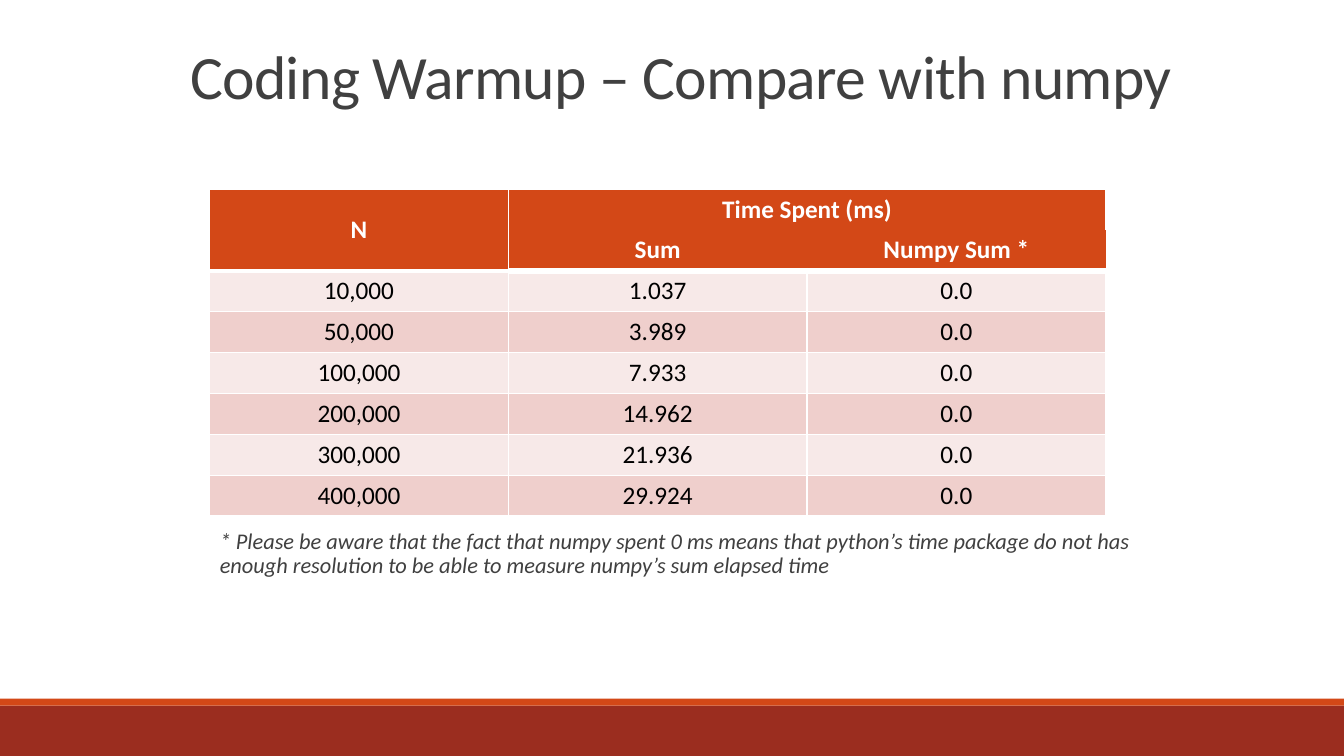
from dataclasses import dataclass

from lxml.etree import SubElement
from pptx import Presentation
from pptx.dml.color import RGBColor as Color
from pptx.enum.shapes import MSO_SHAPE as Shape
from pptx.enum.text import MSO_ANCHOR as Anchor, PP_ALIGN as Align
from pptx.oxml.ns import qn
from pptx.util import Inches, Pt


@dataclass(frozen=True)
class Theme:
    """Colours, font and type sizes of the deck."""
    font: str = "Calibri"
    ink: str = "404040"
    black: str = "000000"
    white: str = "FFFFFF"
    accent: str = "D34817"
    base: str = "9B2D1F"
    bands: tuple = ("F7E9E8", "EFCFCC")
    title_size: float = 44
    cell_size: float = 18
    note_size: float = 16


THEME = Theme()
WIDTH, HEIGHT = 13.33, 7.5
TITLE = "Coding Warmup – Compare with numpy"
NOTE = ("* Please be aware that the fact that numpy spent 0 ms means that python’s time package "
        "do not has enough resolution to be able to measure numpy’s sum elapsed time")
HEADER = (("N", "Time Spent (ms)", ""), ("", "Sum", "Numpy Sum *"))
TIMINGS = (
    ("10,000", "1.037", "0.0"),
    ("50,000", "3.989", "0.0"),
    ("100,000", "7.933", "0.0"),
    ("200,000", "14.962", "0.0"),
    ("300,000", "21.936", "0.0"),
    ("400,000", "29.924", "0.0"),
)
THIN = dict(L=1, R=1, T=1, B=1)
HEADER_EDGES = (
    (dict(THIN, B=3), dict(THIN, B=0), dict(THIN, L=0, B=0)),
    (dict(THIN, T=0, B=3), dict(L=1, R=0, T=0, B=4.5), dict(L=0, R=0, T=0, B=4.5)),
)


def add_span(para, text, size, color, bold=False, italic=False):
    """Add one styled run to a paragraph."""
    span = para.add_run()
    span.text = text
    span.font.name = THEME.font
    span.font.size = Pt(size)
    span.font.color.rgb = Color.from_string(color)
    span.font.bold = bold
    span.font.italic = italic
    return span


def add_bar(page, box, color):
    """Draw a plain filled rectangle in the box."""
    bar = page.shapes.add_shape(Shape.RECTANGLE, *map(Inches, box))
    bar.shadow.inherit = False
    bar.fill.solid()
    bar.fill.fore_color.rgb = Color.from_string(color)
    bar.line.fill.background()
    return bar


def add_footer(page, box):
    """Fill the box with the base bar and its accent strip on top."""
    left, top, width, height = box
    strip = height / 8
    add_bar(page, (left, top + strip, width, height - strip), THEME.base)
    add_bar(page, (left, top, width, strip), THEME.accent)


def add_title(page, box, text):
    """Write the slide title in the box."""
    frame = page.shapes.add_textbox(*map(Inches, box)).text_frame
    frame.word_wrap = True
    para = frame.paragraphs[0]
    para.line_spacing = 0.85
    span = add_span(para, text, THEME.title_size, THEME.ink)
    span.font._element.set("spc", "-50")


def add_note(page, box, text):
    """Write the italic footnote on a white panel."""
    frame = add_bar(page, box, THEME.white).text_frame
    frame.word_wrap = True
    frame.vertical_anchor = Anchor.TOP
    frame.margin_left = Inches(0.2)
    para = frame.paragraphs[0]
    para.alignment = Align.LEFT
    para.line_spacing = 0.9
    add_span(para, text, THEME.note_size, THEME.ink, italic=True)


def set_edges(cell, edges):
    """Give each side of a cell a white line, or none at width zero."""
    properties = cell._tc.get_or_add_tcPr()
    for index, side in enumerate("LRTB"):
        line = SubElement(properties, qn(f"a:ln{side}"), w=str(Pt(edges[side])))
        if edges[side]:
            fill = SubElement(line, qn("a:solidFill"))
            SubElement(fill, qn("a:srgbClr"), val=THEME.white)
        else:
            SubElement(line, qn("a:noFill"))
        properties.insert(index, line)


def fill_cell(cell, text, fill, color, edges, bold):
    """Style one table cell and write its centred text."""
    cell.fill.solid()
    cell.fill.fore_color.rgb = Color.from_string(fill)
    set_edges(cell, edges)
    if text:
        para = cell.text_frame.paragraphs[0]
        para.alignment = Align.CENTER
        add_span(para, text, THEME.cell_size, color, bold)


def add_timings(page, box, header, timings):
    """Build the timing table with a two-row merged header."""
    rows, columns = len(header) + len(timings), len(header[0])
    table = page.shapes.add_table(rows, columns, *map(Inches, box)).table
    table.first_row = table.horz_banding = False
    for row, texts in enumerate(header):
        for column, text in enumerate(texts):
            fill_cell(table.cell(row, column), text, THEME.accent, THEME.white,
                      HEADER_EDGES[row][column], True)
    for index, texts in enumerate(timings):
        for column, text in enumerate(texts):
            edges = dict(THIN, T=4.5 if column else 3) if index == 0 else THIN
            fill_cell(table.cell(len(header) + index, column), text,
                      THEME.bands[index % 2], THEME.black, edges, False)
    table.cell(0, 0).merge(table.cell(1, 0))
    table.cell(0, 0).vertical_anchor = Anchor.MIDDLE
    table.cell(0, 1).merge(table.cell(0, 2))


def main():
    """Build the one-slide deck and save it."""
    deck = Presentation()
    deck.slide_width, deck.slide_height = Inches(WIDTH), Inches(HEIGHT)
    page = deck.slides.add_slide(deck.slide_layouts[6])
    left, width = WIDTH * 0.156, WIDTH * 2 / 3
    add_footer(page, (0, HEIGHT * 0.924, WIDTH, HEIGHT * 0.076))
    add_timings(page, (left, HEIGHT / 4, width, HEIGHT * 0.432), HEADER, TIMINGS)
    add_note(page, (left - 0.1, HEIGHT * 0.695, width + 0.86, HEIGHT * 0.085), NOTE)
    add_title(page, (1.79, 0.44, 11, 0.93), TITLE)
    deck.save("out.pptx")


if __name__ == "__main__":
    main()
